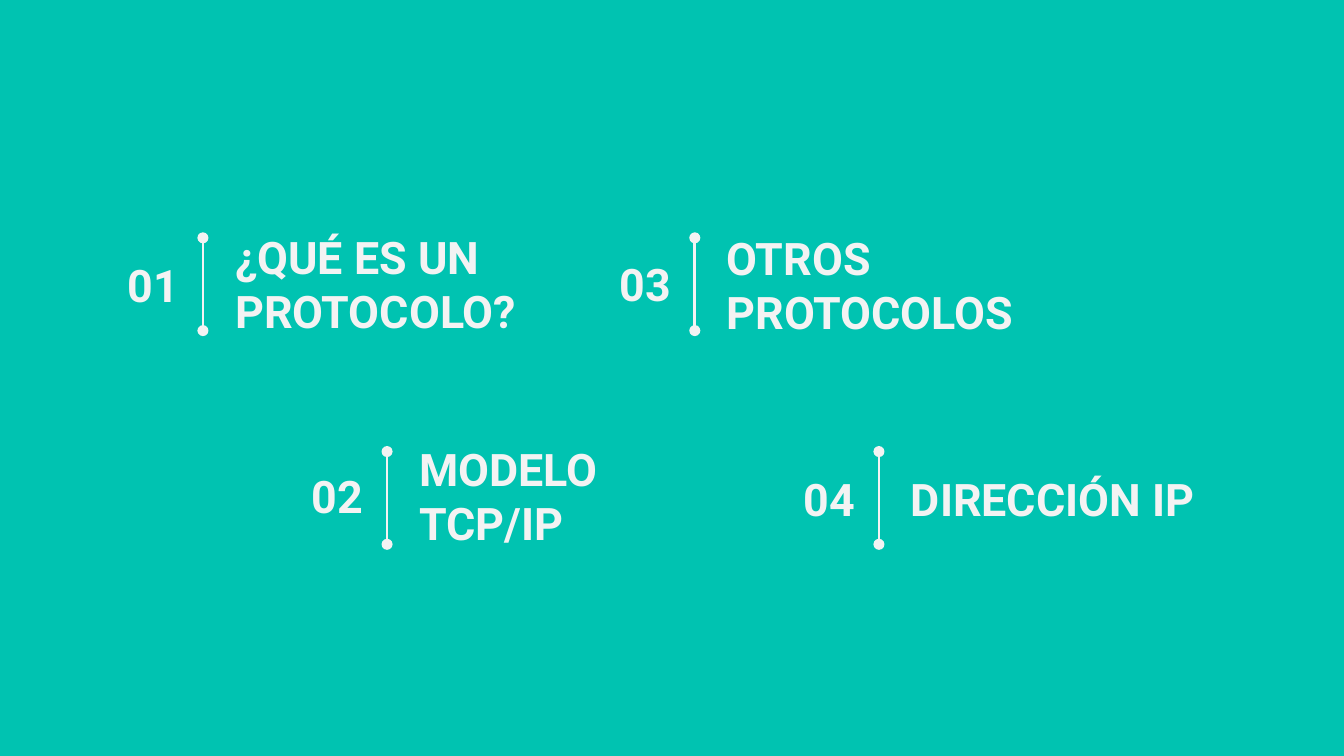
from pptx import Presentation
from pptx.dml.color import RGBColor as RGB
from pptx.enum.shapes import MSO_CONNECTOR as Link
from pptx.enum.text import MSO_ANCHOR as Anchor, MSO_AUTO_SIZE as Fit, PP_ALIGN as Align
from pptx.oxml.ns import qn
from pptx.util import Inches, Pt
from lxml.etree import SubElement

COLORS = {"back": "00C3B1", "ink": "F3F3F3"}
FONT = "Roboto"

# Grid of the dividers: top left corner, steps and shift of the second row
LEFT, TOP = 1.51, 1.77
COL, ROW, SHIFT = 3.66, 1.59, 1.37
TALL = 0.69

# Number, heading, column, row, top of number, top of heading
TOPICS = [
    ("01", "¿QUÉ ES UN PROTOCOLO?", 0, 0, 1.89, 1.88),
    ("02", "MODELO TCP/IP", 0, 1, 3.46, 3.46),
    ("03", "OTROS PROTOCOLOS", 1, 0, 1.88, 1.89),
    ("04", "DIRECCIÓN IP", 1, 1, 3.48, 3.48),
]


class Agenda:
    def __init__(self, slide):
        self.slide = slide
        self.ink = RGB.from_string(COLORS["ink"])
        fill = slide.background.fill
        fill.solid()
        fill.fore_color.rgb = RGB.from_string(COLORS["back"])

    def text(self, words, x, y, wide, align=Align.LEFT, box=None):
        place = [Inches(v) for v in (x, y, wide, 0.46)]
        if box is None:
            box = self.slide.shapes.add_textbox(*place)
        box.left, box.top, box.width, box.height = place
        frame = box.text_frame
        frame.text = words
        frame.word_wrap = True
        frame.auto_size = Fit.NONE
        frame.vertical_anchor = Anchor.MIDDLE
        frame.margin_left = frame.margin_right = Inches(0.1)
        frame.margin_top = frame.margin_bottom = Inches(0.1)
        par = frame.paragraphs[0]
        par.alignment = align
        font = par.font
        font.name, font.size, font.bold = FONT, Pt(24), True
        font.color.rgb = self.ink

    def rule(self, x, y):
        line = self.slide.shapes.add_connector(
            Link.STRAIGHT, Inches(x), Inches(y), Inches(x), Inches(y + TALL))
        line.line.color.rgb = self.ink
        line.line.width = Pt(1.5)
        # Round ends and no shadow
        props = line.element.spPr
        for end in ("a:headEnd", "a:tailEnd"):
            SubElement(props.find(qn("a:ln")), qn(end), type="oval")
        SubElement(props, qn("a:effectLst"))


def main():
    # Widescreen page, 16 to 9
    deck = Presentation()
    deck.slide_width = Inches(10)
    deck.slide_height = deck.slide_width * 9 // 16
    slide = deck.slides.add_slide(deck.slide_layouts[5])
    page = Agenda(slide)

    # The first heading takes the title placeholder
    title = slide.shapes.title
    for num, head, col, row, num_y, head_y in TOPICS:
        x = LEFT + col * COL + row * SHIFT
        page.text(head, x + 0.14, head_y, 2.56, box=title)
        page.text(num, x - 0.74, num_y, 0.66, Align.RIGHT)
        page.rule(x, TOP + row * ROW)
        title = None

    deck.save("out.pptx")


if __name__ == "__main__":
    main()
